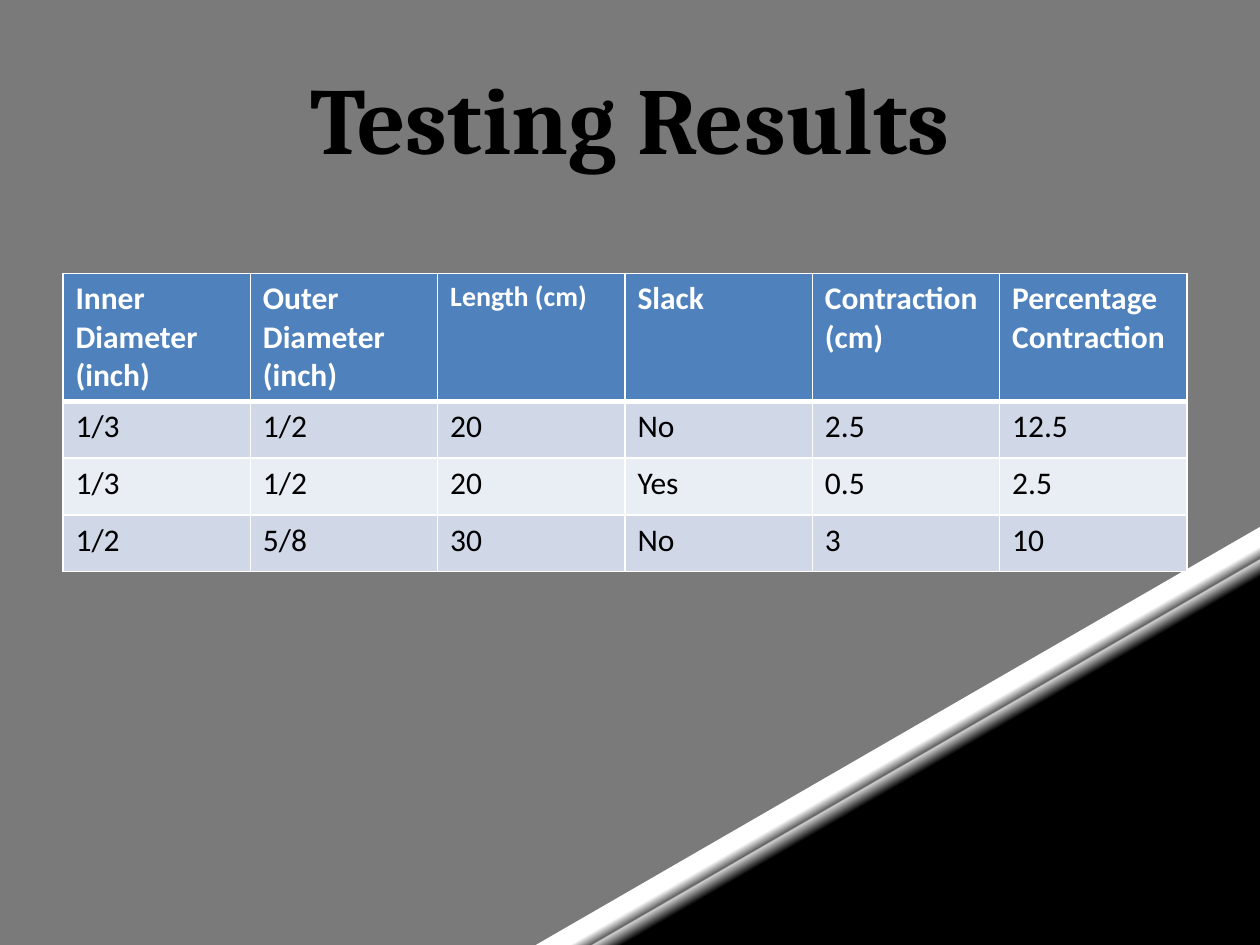
"""Build the Testing Results slide with its gradient background and table."""
from dataclasses import dataclass

from lxml.etree import SubElement as Sub
from pptx import Presentation
from pptx.dml.color import RGBColor as RGB
from pptx.enum.text import MSO_ANCHOR as Anchor, PP_ALIGN as Align
from pptx.oxml.ns import qn
from pptx.util import Inches, Pt

TITLE = "Testing Results"
HEADER = ["Inner Diameter (inch)", "Outer Diameter (inch)", "Length (cm)",
          "Slack", "Contraction (cm)", "Percentage Contraction"]
RESULTS = [
    ["1/3", "1/2", "20", "No", "2.5", "12.5"],
    ["1/3", "1/2", "20", "Yes", "0.5", "2.5"],
    ["1/2", "5/8", "30", "No", "3", "10"],
]
SMALL_HEADER = "Length (cm)"
BACKGROUND = [(0, "7A7A7A"), (75, "7A7A7A"), (75, "FFFFFF"), (76.2, "FFFFFF"),
              (76.9, "636363"), (77, "CFCFCF"), (78, "000000"), (100, "000000")]
BACKGROUND_ANGLE = 60
WIDTH, HEIGHT = Inches(10), Inches(7.5)
HEADER_HEIGHT, ROW_HEIGHT = Inches(0.95), Inches(0.45)


@dataclass(frozen=True)
class Theme:
    title_font: str = "Cambria"
    body_font: str = "Calibri"
    title_size: int = 54
    body_size: int = 18
    small_size: int = 16
    dark: str = "000000"
    light: str = "FFFFFF"
    header: str = "4F81BD"
    bands: tuple = ("D0D8E8", "E9EDF4")


THEME = Theme()


def write(tf, text, *, size, color, font=THEME.body_font, bold=False, align=Align.LEFT):
    p = tf.paragraphs[0]
    p.alignment = align
    r = p.add_run()
    r.text = text
    r.font.name, r.font.size, r.font.bold = font, Pt(size), bold
    r.font.color.rgb = RGB.from_string(color)


def paint_background(s):
    s.background.fill.gradient()
    grad = next(s.element.iter(qn("a:gradFill")))
    for child in list(grad):
        grad.remove(child)
    stops = Sub(grad, qn("a:gsLst"))
    for position, color in BACKGROUND:
        stop = Sub(stops, qn("a:gs"), pos=str(round(position * 1000)))
        Sub(stop, qn("a:srgbClr"), val=color)
    Sub(grad, qn("a:lin"), ang=str(BACKGROUND_ANGLE * 60000), scaled="0")


def style_cell(cell, fill, borders):
    tc_pr = cell._tc.get_or_add_tcPr()
    for side, points in borders.items():
        line = Sub(tc_pr, qn(f"a:ln{side}"), w=str(Pt(points)))
        Sub(Sub(line, qn("a:solidFill")), qn("a:srgbClr"), val=THEME.light)
    cell.fill.solid()
    cell.fill.fore_color.rgb = RGB.from_string(fill)


def add_title(s):
    sp = s.shapes.title
    sp.left, sp.top = int(WIDTH * 0.05), int(HEIGHT * 0.04)
    sp.width, sp.height = int(WIDTH * 0.9), Inches(1.25)
    sp.text_frame.vertical_anchor = Anchor.MIDDLE
    write(sp.text_frame, TITLE, size=THEME.title_size, color=THEME.dark,
          font=THEME.title_font, bold=True, align=Align.CENTER)


def add_results(s):
    rows = [HEADER] + RESULTS
    height = HEADER_HEIGHT + ROW_HEIGHT * len(RESULTS)
    table = s.shapes.add_table(len(rows), len(HEADER), int(WIDTH * 0.05),
                               Inches(2.17), Inches(8.92), height).table
    for i, row in enumerate(rows):
        is_header = i == 0
        table.rows[i].height = HEADER_HEIGHT if is_header else ROW_HEIGHT
        fill = THEME.header if is_header else THEME.bands[(i - 1) % 2]
        borders = {"L": 1, "R": 1, "T": 3 if i == 1 else 1, "B": 3 if is_header else 1}
        for j, text in enumerate(row):
            cell = table.cell(i, j)
            style_cell(cell, fill, borders)
            write(cell.text_frame, text, bold=is_header,
                  size=THEME.small_size if text == SMALL_HEADER else THEME.body_size,
                  color=THEME.light if is_header else THEME.dark)


def main():
    prs = Presentation()
    prs.slide_width, prs.slide_height = WIDTH, HEIGHT
    s = prs.slides.add_slide(prs.slide_layouts[5])
    paint_background(s)
    add_title(s)
    add_results(s)
    prs.save("out.pptx")


if __name__ == "__main__":
    main()
